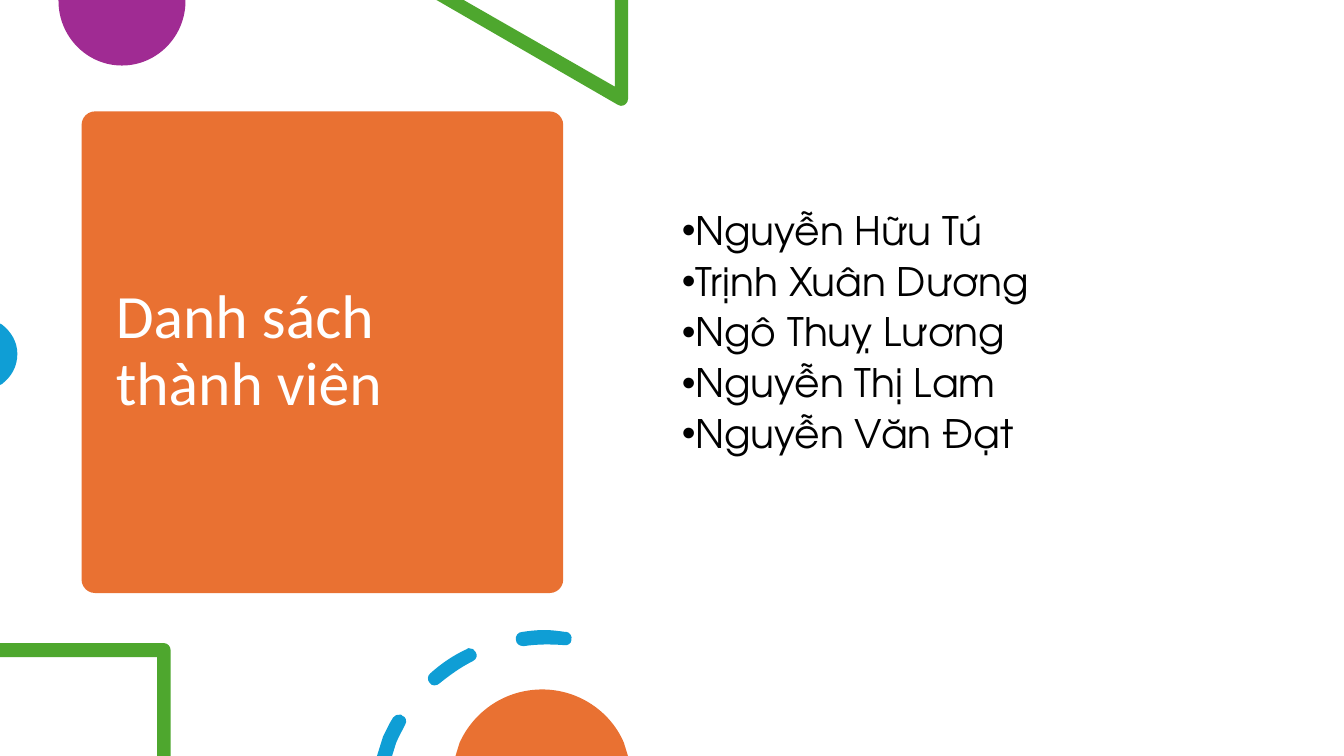
from dataclasses import dataclass

from lxml import etree
from pptx import Presentation
from pptx.dml.color import RGBColor
from pptx.enum.shapes import MSO_SHAPE
from pptx.enum.text import MSO_ANCHOR, PP_ALIGN
from pptx.oxml.ns import qn
from pptx.util import Pt

ROUND = MSO_SHAPE.ROUNDED_RECTANGLE
MIDDLE = MSO_ANCHOR.MIDDLE
LEFT = PP_ALIGN.LEFT

ORANGE, PURPLE, GREEN, BLUE = "E97132", "A02B93", "4EA72E", "0F9ED5"

Part = tuple[float, ...]


@dataclass
class Form:
    """Closed outlines: two numbers make a line, six make a cubic curve."""
    color: str
    rings: list[list[Part]]


DISC = Form(PURPLE, [[
    (132.5, 0), (41.8, 0), (41.8, 0.7),
    (41.8, 25.9, 62, 46.8, 87.1, 46.8),
    (112.3, 46.8, 132.5, 25.9, 132.5, 0.7)]])
WEDGE = Form(GREEN, [[
    (448.6, 0), (439.2, 0), (439.2, 61.9), (331.2, 0), (311.8, 0), (441.4, 74.9),
    (442.1, 75.6, 442.8, 75.6, 443.5, 75.6),
    (446.4, 75.6, 448.6, 73.4, 448.6, 70.6)]])
DOT = Form(BLUE, [[
    (0, 231.1), (0, 275), (1.4, 274.3),
    (7.9, 269.3, 12.4, 262.1, 12.4, 252.7),
    (12.4, 244.1, 7.9, 236.9, 1.4, 231.8)]])
CORNER = Form(GREEN, [[
    (117.4, 459.4), (0, 459.4), (0, 469.4), (112.3, 469.4), (112.3, 540),
    (121.9, 540), (121.9, 464.4),
    (121.9, 461.5, 119.5, 459.4, 117.4, 459.4)]])
DASHES = Form(BLUE, [
    [(285.8, 510.5),
     (283.7, 509.8, 282.2, 511.2, 280.8, 512.6),
     (277.9, 517, 275.8, 522, 273.6, 526.3),
     (269.3, 540), (280.1, 540), (283, 530.6),
     (285.1, 525.6, 287.3, 522, 289.4, 517.7),
     (290.9, 515.5, 290.2, 511.9, 287.3, 511.2),
     (287.3, 510.5, 286.6, 510.5, 285.8, 510.5)],
    [(334.8, 463),
     (334.8, 463, 334.1, 463, 333.4, 463.7),
     (324, 468, 315.4, 473.8, 307.4, 481),
     (305.3, 482.4, 305.3, 486, 306.7, 487.4),
     (307.4, 488.9, 308.9, 489.6, 310.3, 489.6),
     (310.3, 489.6),
     (311.8, 489.6, 313.2, 488.9, 313.9, 488.2),
     (321.1, 482.4, 329, 476.6, 337.7, 472.3),
     (340.6, 470.9, 341.3, 468, 339.8, 465.8),
     (339.1, 463.7, 337, 463, 334.8, 463)],
    [(388.8, 450),
     (383, 450, 378, 450.7, 373, 451.4),
     (370.1, 451.4, 367.9, 454.3, 368.6, 457.2),
     (368.6, 459.4, 370.8, 461.5, 373.7, 461.5),
     (373.7, 461.5, 373.7, 461.5, 374.4, 461.5),
     (383.8, 460.1, 393.1, 460.1, 403.2, 460.8),
     (405.4, 461.5, 408.2, 459.4, 408.2, 457.2),
     (409, 454.3, 406.8, 451.4, 404.6, 451.4),
     (404.6, 451.4, 403.9, 451.4, 403.9, 451.4),
     (398.9, 450.7, 393.8, 450, 388.8, 450)]])
DOME = Form(ORANGE, [[
    (387.4, 492.5),
    (360.7, 492.5, 338.4, 508.3, 328.3, 530.6),
    (325.4, 540), (448.6, 540), (445.7, 530.6),
    (436.3, 508.3, 413.3, 492.5, 387.4, 492.5)]])

NAMES = ["Nguyễn Hữu Tú", "Trịnh Xuân Dương", "Ngô Thuỵ Lương",
         "Nguyễn Thị Lam", "Nguyễn Văn Đạt"]


def paint(shape, color: str) -> None:
    shape.shadow.inherit = False
    shape.fill.solid()
    shape.fill.fore_color.rgb = RGBColor.from_string(color)
    shape.line.fill.background()


def bend(shape, parts: list[Part]) -> None:
    """Turn the lines that stand for curves into cubic curves."""
    tags = (qn("a:moveTo"), qn("a:lnTo"))
    nodes = [node for node in shape._element.iter(*tags)
             if node.getparent().tag == qn("a:path")]
    for node, part in zip(nodes, parts):
        if len(part) == 2:
            continue
        node.tag = qn("a:cubicBezTo")
        for slot in (0, 1):
            x, y = part[2 * slot:2 * slot + 2]
            spot = etree.Element(qn("a:pt"), x=str(Pt(x) - shape.left),
                                 y=str(Pt(y) - shape.top))
            node.insert(slot, spot)


def draw(slide, form: Form) -> None:
    first, *rest = [[(Pt(part[-2]), Pt(part[-1])) for part in ring]
                    for ring in form.rings]
    pen = slide.shapes.build_freeform(*first[0])
    pen.add_line_segments(first[1:])
    for spots in rest:
        pen.move_to(*spots[0])
        pen.add_line_segments(spots[1:])
    shape = pen.convert_to_shape()
    bend(shape, [part for ring in form.rings for part in ring])
    paint(shape, form.color)


def write(slide, lines: list[str], box: Part, *, size: float, font: str,
          color: str, bullet: str = "", base: float = 3.6) -> None:
    """Add a text box; base is its bottom margin."""
    frame = slide.shapes.add_textbox(*map(Pt, box)).text_frame
    frame.word_wrap = True
    frame.vertical_anchor = MIDDLE
    frame.margin_bottom = Pt(base)
    for index, line in enumerate(lines):
        para = frame.add_paragraph() if index else frame.paragraphs[0]
        para.alignment = LEFT
        para.line_spacing = 0.9
        para.space_after = Pt(6)
        run = para.add_run()
        run.text = line
        run.font.size = Pt(size)
        run.font.name = font
        run.font.color.rgb = RGBColor.from_string(color)
        if bullet:
            props = para._p.get_or_add_pPr()
            props.set("marL", "0")
            props.set("indent", str(-Pt(18)))
            etree.SubElement(props, qn("a:buFont")).set("typeface", "Arial")
            etree.SubElement(props, qn("a:buChar")).set("char", bullet)


def main() -> None:
    deck = Presentation()
    deck.slide_width, deck.slide_height = Pt(960), Pt(540)
    slide = deck.slides.add_slide(deck.slide_layouts[6])

    card = slide.shapes.add_shape(ROUND, Pt(58.3), Pt(79.6), Pt(344), Pt(344))
    card.adjustments[0] = 0.028
    paint(card, ORANGE)
    write(slide, ["Danh sách thành viên"], (75.6, 87.5, 310.3, 328.3),
          size=44, font="Calibri", color="FFFFFF")
    for form in (DISC, WEDGE, DOT):
        draw(slide, form)
    write(slide, NAMES, (480, 64.8, 414, 385.2), size=28,
          font="TeX Gyre Adventor", color="000000", bullet="•", base=41)
    for form in (CORNER, DASHES, DOME):
        draw(slide, form)
    deck.save("out.pptx")


if __name__ == "__main__":
    main()
